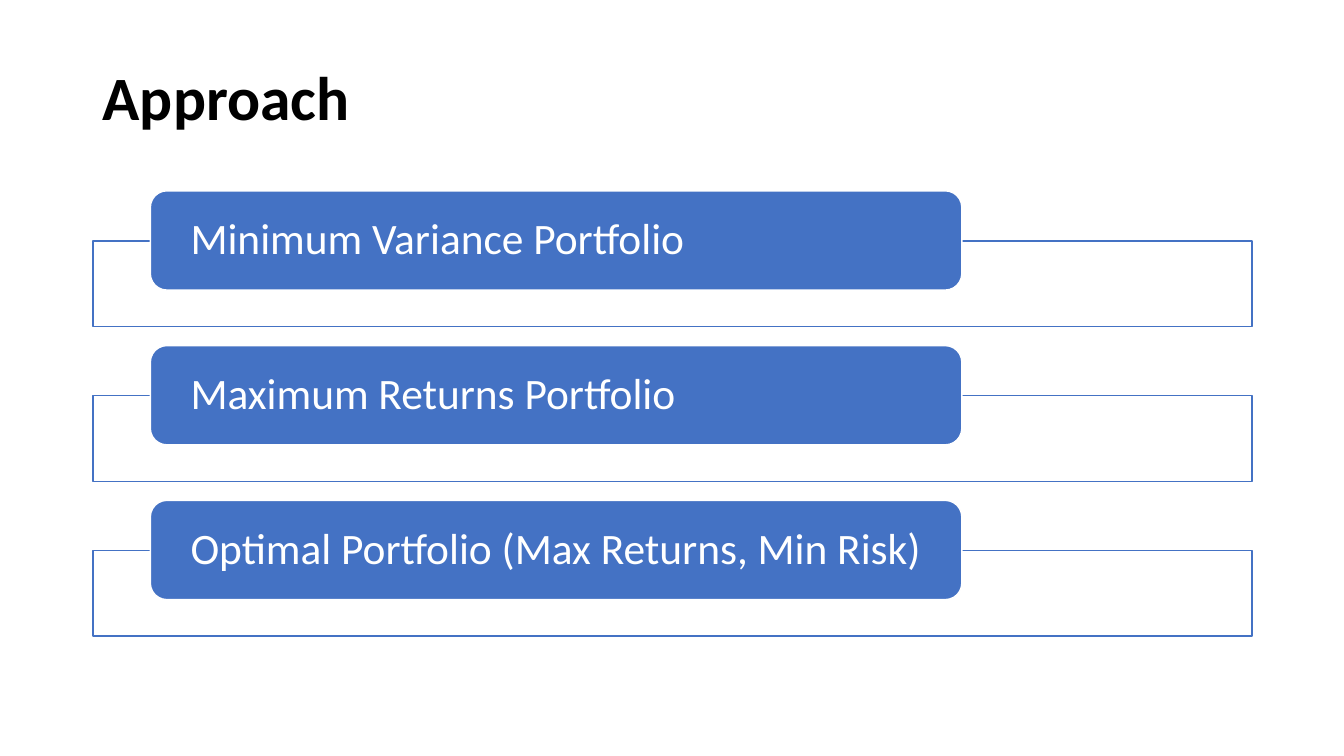
import dataclasses
import typing

import lxml.etree
import pptx
import pptx.dml.color
import pptx.enum.shapes
import pptx.enum.text
import pptx.oxml.ns
import pptx.shapes.autoshape
import pptx.shapes.shapetree
import pptx.util

Cm = pptx.util.Cm
Pt = pptx.util.Pt
Color = pptx.dml.color.RGBColor
Kind = pptx.enum.shapes.MSO_SHAPE
Shape = pptx.shapes.autoshape.Shape
Tree = pptx.shapes.shapetree.SlideShapes

BLACK = Color(0x00, 0x00, 0x00)
WHITE = Color(0xFF, 0xFF, 0xFF)
BLUE = Color(0x44, 0x72, 0xC4)

TITLE_FONT = {"name": "Calibri", "size": Pt(44), "bold": True}
STEP_FONT = {"name": "Calibri", "size": Pt(31), "bold": False}
TITLE_FRAME = {"margin_left": Cm(0.25), "margin_right": Cm(0.25)}
STEP_FRAME = {
    "margin_left": Cm(0.89),
    "margin_right": Cm(0.89),
    "margin_top": Cm(0),
    "margin_bottom": Cm(0),
}
SHARED_FRAME = {
    "word_wrap": True,
    "vertical_anchor": pptx.enum.text.MSO_ANCHOR.MIDDLE,
}
LINES = {"line_spacing": 0.9, "alignment": pptx.enum.text.PP_ALIGN.LEFT}

PITCH = 3.9
STEPS = (
    "Minimum Variance Portfolio",
    "Maximum Returns Portfolio",
    "Optimal Portfolio (Max Returns, Min Risk)",
)


@dataclasses.dataclass(frozen=True)
class Box:
    kind: Kind
    left: float
    top: float
    width: float
    height: float
    fill: Color
    line: Color


FRAME = Box(Kind.RECTANGLE, 2.34, 6.07, 29.21, 2.16, WHITE, BLUE)
PILL = Box(Kind.ROUNDED_RECTANGLE, 3.79, 4.81, 20.45, 2.5, BLUE, WHITE)


def apply(target: typing.Any, values: dict[str, typing.Any]) -> None:
    for name, value in values.items():
        setattr(target, name, value)


def draw(shapes: Tree, box: Box, row: int) -> Shape:
    shape = shapes.add_shape(
        box.kind, Cm(box.left), Cm(box.top + row * PITCH), Cm(box.width), Cm(box.height)
    )
    shape.shadow.inherit = False
    shape.fill.solid()
    shape.fill.fore_color.rgb = box.fill
    shape.line.color.rgb = box.line
    shape.line.width = Pt(1)
    return shape


def fade(shape: Shape, percent: int) -> None:
    tag = pptx.oxml.ns.qn
    color = shape.fill._xPr.find(tag("a:solidFill"))[0]
    lxml.etree.SubElement(color, tag("a:alpha")).set("val", str(percent * 1000))


def write(
    shape: Shape,
    text: str,
    frame: dict[str, typing.Any],
    font: dict[str, typing.Any],
    color: Color,
) -> None:
    apply(shape.text_frame, SHARED_FRAME | frame)
    line = shape.text_frame.paragraphs[0]
    apply(line, LINES)
    run = line.add_run()
    run.text = text
    apply(run.font, font)
    run.font.color.rgb = color


def main() -> None:
    deck = pptx.Presentation()
    apply(deck, {"slide_width": Cm(33.87), "slide_height": Cm(19.05)})
    shapes = deck.slides.add_slide(deck.slide_layouts[6]).shapes

    title = shapes.add_textbox(Cm(2.34), Cm(0.69), Cm(29.21), Cm(3.68))
    write(title, "Approach", TITLE_FRAME, TITLE_FONT, BLACK)

    for row, step in enumerate(STEPS):
        fade(draw(shapes, FRAME, row), 90)
        write(draw(shapes, PILL, row), step, STEP_FRAME, STEP_FONT, WHITE)

    deck.save("out.pptx")


main()
